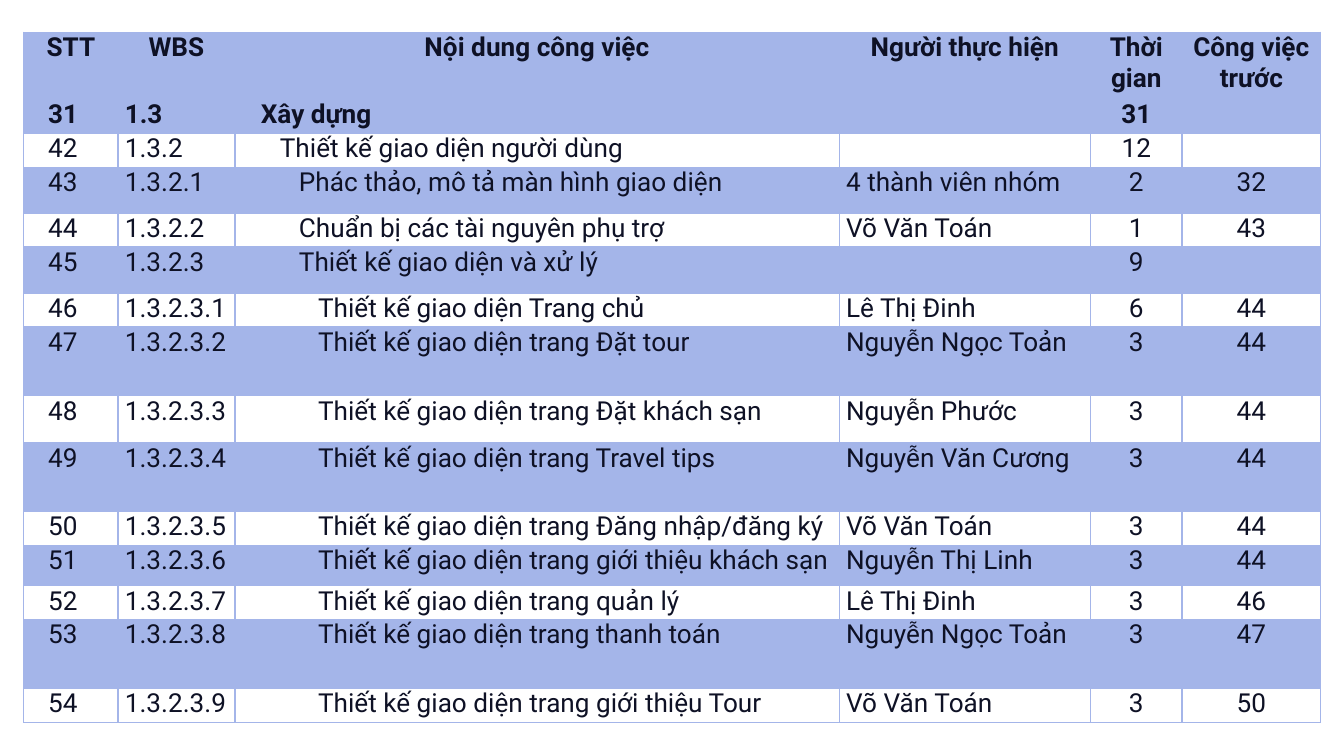
"""Build a slide with the work breakdown table of the construction phase."""
from lxml import etree
from pptx import Presentation
from pptx.dml.color import RGBColor
from pptx.enum.text import PP_ALIGN
from pptx.oxml.ns import qn
from pptx.util import Cm, Pt

LEFT, CENTER = PP_ALIGN.LEFT, PP_ALIGN.CENTER
FONT, TEXT_SIZE = "Roboto", 14
INK, BLUE, WHITE = "0E1125", "A4B5E9", "FFFFFF"
BAND_OPACITY = 40
STT_INDENT, LEVEL_INDENT = 0.33, 0.36
TABLE_LEFT, TABLE_TOP = 0.45, 0.61
SINGLE, DOUBLE = 0.64, 1.3

COLUMNS = [
    ("STT", 1.78, LEFT),
    ("WBS", 2.21, LEFT),
    ("Nội dung công việc", 11.42, LEFT),
    ("Người thực hiện", 4.75, LEFT),
    ("Thời gian", 1.73, CENTER),
    ("Công việc trước", 2.62, CENTER),
]
HEADER_HEIGHT = 1.27
TASKS = [
    (SINGLE, "31", "1.3", "Xây dựng", "", "31", ""),
    (SINGLE, "42", "1.3.2", "Thiết kế giao diện người dùng", "", "12", ""),
    (0.87, "43", "1.3.2.1", "Phác thảo, mô tả màn hình giao diện", "4 thành viên nhóm", "2", "32"),
    (SINGLE, "44", "1.3.2.2", "Chuẩn bị các tài nguyên phụ trợ", "Võ Văn Toán", "1", "43"),
    (0.87, "45", "1.3.2.3", "Thiết kế giao diện và xử lý", "", "9", ""),
    (SINGLE, "46", "1.3.2.3.1", "Thiết kế giao diện Trang chủ", "Lê Thị Đinh", "6", "44"),
    (DOUBLE, "47", "1.3.2.3.2", "Thiết kế giao diện trang Đặt tour", "Nguyễn Ngọc Toản", "3", "44"),
    (0.89, "48", "1.3.2.3.3", "Thiết kế giao diện trang Đặt khách sạn", "Nguyễn Phước", "3", "44"),
    (DOUBLE, "49", "1.3.2.3.4", "Thiết kế giao diện trang Travel tips", "Nguyễn Văn Cương", "3", "44"),
    (SINGLE, "50", "1.3.2.3.5", "Thiết kế giao diện trang Đăng nhập/đăng ký", "Võ Văn Toán", "3", "44"),
    (0.76, "51", "1.3.2.3.6", "Thiết kế giao diện trang giới thiệu khách sạn", "Nguyễn Thị Linh", "3", "44"),
    (SINGLE, "52", "1.3.2.3.7", "Thiết kế giao diện trang quản lý", "Lê Thị Đinh", "3", "46"),
    (DOUBLE, "53", "1.3.2.3.8", "Thiết kế giao diện trang thanh toán", "Nguyễn Ngọc Toản", "3", "47"),
    (SINGLE, "54", "1.3.2.3.9", "Thiết kế giao diện trang giới thiệu Tour", "Võ Văn Toán", "3", "50"),
]


def rgb(color):
    return RGBColor.from_string(color)


def set_borders(cell, left, right, top, bottom):
    properties = cell._tc.get_or_add_tcPr()
    for side, color in zip("LRTB", (left, right, top, bottom)):
        line = etree.SubElement(properties, qn(f"a:ln{side}"), w=str(Pt(0.75)))
        if color:
            fill = etree.SubElement(line, qn("a:solidFill"))
            etree.SubElement(fill, qn("a:srgbClr"), val=color)
        else:
            etree.SubElement(line, qn("a:noFill"))


def set_fill(cell, color, opacity=100):
    if color is None:
        cell.fill.background()
        return
    cell.fill.solid()
    cell.fill.fore_color.rgb = rgb(color)
    if opacity < 100:
        shade = cell._tc.tcPr.find(f".//{qn('a:solidFill')}/{qn('a:srgbClr')}")
        etree.SubElement(shade, qn("a:alpha"), val=str(opacity * 1000))


def write(cell, text, alignment, bold, indent=0):
    cell.margin_left = cell.margin_right = Cm(0.13)
    cell.margin_top = cell.margin_bottom = 0
    paragraph = cell.text_frame.paragraphs[0]
    if text:
        paragraph.text = text
    paragraph.alignment = alignment
    font = paragraph.font
    font.name, font.size, font.bold = FONT, Pt(TEXT_SIZE), bold
    font.color.rgb = rgb(INK)
    if indent:
        paragraph._p.get_or_add_pPr().set("marL", str(Cm(indent)))


def fill_header(table):
    last = len(COLUMNS) - 1
    for column, (title, width, _) in enumerate(COLUMNS):
        table.columns[column].width = Cm(width)
        cell = table.cell(0, column)
        write(cell, title, CENTER, True)
        set_borders(cell, None if column else BLUE, BLUE if column == last else None, BLUE, WHITE)
        set_fill(cell, BLUE)


def fill_task(table, row, values):
    depth = values[1].count(".")
    indents = {0: STT_INDENT, 2: depth * LEVEL_INDENT}
    for column, (value, (_, _, alignment)) in enumerate(zip(values, COLUMNS)):
        cell = table.cell(row, column)
        write(cell, value, alignment, depth == 1, indents.get(column, 0))
        set_borders(cell, BLUE, BLUE, BLUE, BLUE)
        set_fill(cell, BLUE if row % 2 else None, BAND_OPACITY)


def main():
    presentation = Presentation()
    presentation.slide_width, presentation.slide_height = Cm(25.4), Cm(14.29)
    slide = presentation.slides.add_slide(presentation.slide_layouts[6])
    heights = [HEADER_HEIGHT] + [task[0] for task in TASKS]
    table = slide.shapes.add_table(
        len(heights), len(COLUMNS), Cm(TABLE_LEFT), Cm(TABLE_TOP),
        Cm(sum(width for _, width, _ in COLUMNS)), Cm(sum(heights)),
    ).table
    table.first_row = table.horz_banding = False
    for row, height in zip(table.rows, heights):
        row.height = Cm(height)
    fill_header(table)
    for row, (_, *values) in enumerate(TASKS, start=1):
        fill_task(table, row, values)
    presentation.save("out.pptx")


if __name__ == "__main__":
    main()
